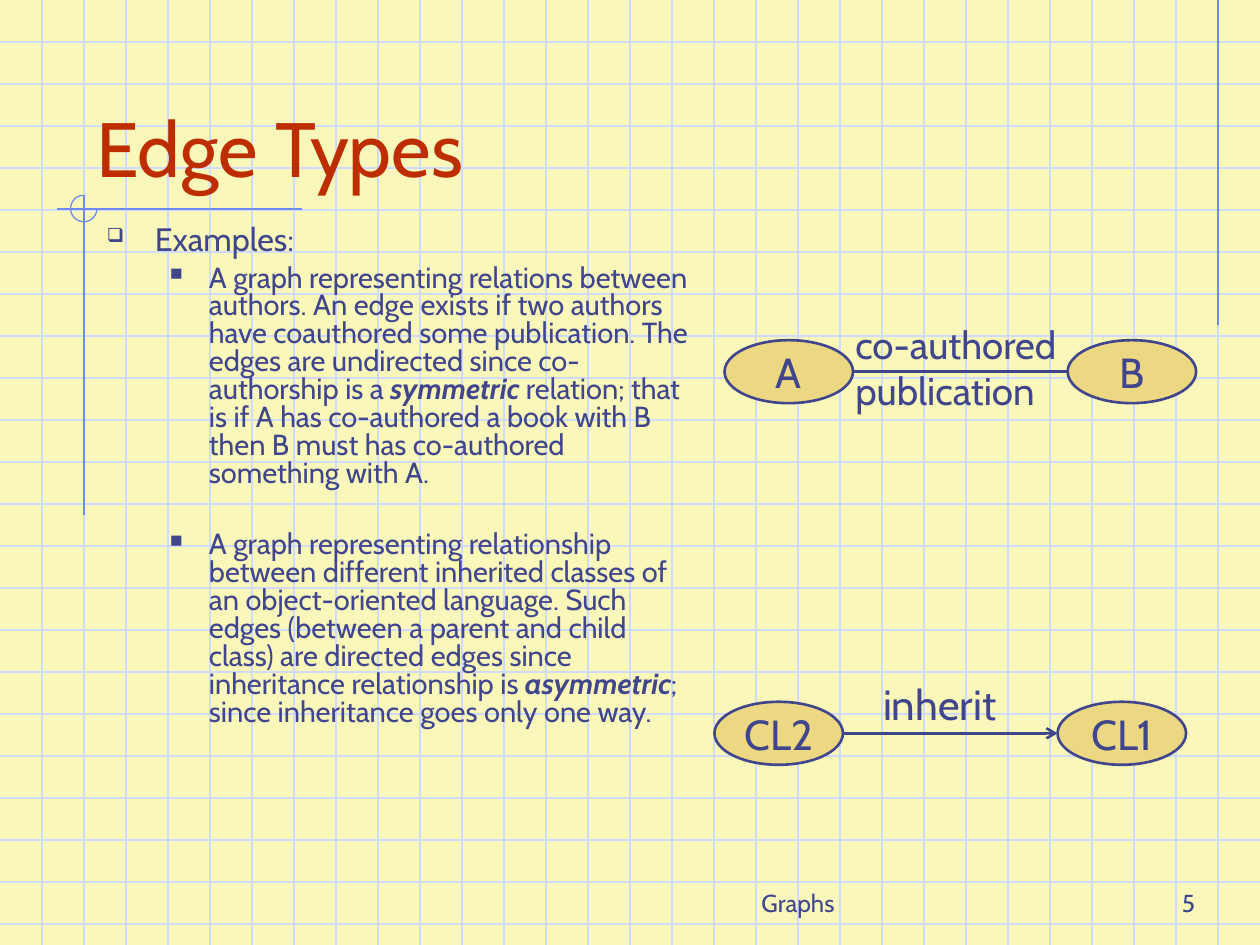
from lxml import etree
from pptx import Presentation
from pptx.dml.color import RGBColor as RGB
from pptx.enum.shapes import MSO_CONNECTOR as Conn, MSO_SHAPE as Shape
from pptx.enum.text import MSO_ANCHOR as Anchor, PP_ALIGN as Align
from pptx.oxml.ns import qn
from pptx.util import Inches, Pt

COLORS = {"paper": "F9F8BA", "grid": "CFDBFD", "accent": "6F89F7",
          "title": "BE2D00", "ink": "40458C", "node": "ECD882"}
FONT = "Cabin"
COLS, ROWS = 30, 22.5
EMPH = {"bold": True, "italic": True}

TEXTS = [
    (["Graphs"], (14.25, 20.5, 9.5, 1.5), 14, "ink", Align.CENTER, Anchor.BOTTOM),
    (["5"], (22.5, 20.5, 6.25, 1.5), 14, "ink", Align.RIGHT, Anchor.BOTTOM),
    (["Edge Types"], (2, 1, 26.5, 3.75), 44, "title", Align.LEFT, Anchor.BOTTOM),
]
BODY_BOX = (2.25, 5.25, 14.5, 16)
LEVELS = [
    {"size": 18.5, "bullet": "❑", "margin": 0.38, "hang": 0.38},
    {"size": 16.6, "bullet": "■", "margin": 0.81, "hang": 0.31},
]
BODY = [
    (0, 5, [("Examples:", {})]),
    (1, 4.5, [
        ("A graph representing relations between authors. An edge exists if two "
         "authors have coauthored some publication. The edges are undirected since "
         "co-authorship is a ", {}),
        ("symmetric", EMPH),
        (" relation; that is if A has co-authored a book with B then B must has "
         "co-authored something with A.", {})]),
    (1, 25, [
        ("A graph representing relationship between different inherited classes of "
         "an object-oriented language. Such edges (between a parent and child class) "
         "are directed edges since inheritance relationship is ", {}),
        ("asymmetric", EMPH),
        ("; since inheritance goes only one way.", {})]),
]
NODE_W, NODE_H, NODE_STEP = 3.06, 1.5, 8.17
GRAPHS = [
    {"nodes": ["CL2", "CL1"], "at": (17.01, 16.71), "arrow": True,
     "label": ["inherit"], "box": (20.73, 16, 6.5, 1.5), "size": 24, "wrap": True},
    {"nodes": ["A", "B"], "at": (17.25, 8.1), "arrow": False,
     "label": ["co-authored", "publication"], "box": (20.07, 7.5, 5.88, 2.52),
     "size": 22, "wrap": False},
]
ACCENTS = [(29, 0, 29, 7.75), (7.2, 4.98, 1.35, 4.98), (2, 4.65, 2, 12.27)]
CORNER_ARC = (1.68, 4.65, 0.63, 0.63)

prs = Presentation()
prs.slide_width, prs.slide_height = Inches(10), Inches(7.5)
CELL = prs.slide_width / COLS
slide = prs.slides.add_slide(prs.slide_layouts[6])
shapes = slide.shapes


def color(name):
    return RGB.from_string(COLORS[name])


def emu(cells):
    return [round(v * CELL) for v in cells]


def set_line(line, name, width):
    line.color.rgb = color(name)
    line.width = Pt(width)


def add_line(ends, name, width=0.75, arrow=False):
    cx = shapes.add_connector(Conn.STRAIGHT, *emu(ends))
    set_line(cx.line, name, width)
    sp_pr = cx._element.spPr
    etree.SubElement(sp_pr, qn("a:effectLst"))
    if arrow:
        ln = sp_pr.find(qn("a:ln"))
        etree.SubElement(ln, qn("a:tailEnd"), type="arrow")


def add_run(p, text, size, name, **extra):
    r = p.add_run()
    r.text = text
    r.font.color.rgb = color(name)
    for key, value in {"name": FONT, "size": Pt(size), **extra}.items():
        setattr(r.font, key, value)


def fill_text(sp, lines, size, name, align=Align.LEFT, anchor=Anchor.TOP, wrap=True):
    tf = sp.text_frame
    for key, value in {"word_wrap": wrap, "vertical_anchor": anchor}.items():
        setattr(tf, key, value)
    for i, text in enumerate(lines):
        p = tf.add_paragraph() if i else tf.paragraphs[0]
        p.alignment = align
        add_run(p, text, size, name)


def add_bullet(p, level):
    p_pr = p._p.get_or_add_pPr()
    p_pr.set("marL", str(Inches(level["margin"])))
    p_pr.set("indent", str(-Inches(level["hang"])))
    clr = etree.SubElement(p_pr, qn("a:buClr"))
    etree.SubElement(clr, qn("a:srgbClr"), val=COLORS["ink"])
    etree.SubElement(p_pr, qn("a:buSzPct"), val="60000")
    etree.SubElement(p_pr, qn("a:buChar"), char=level["bullet"])


def add_body():
    tf = shapes.add_textbox(*emu(BODY_BOX)).text_frame
    tf.word_wrap = True
    for i, (depth, gap, runs) in enumerate(BODY):
        level = LEVELS[depth]
        p = tf.add_paragraph() if i else tf.paragraphs[0]
        for key, value in {"level": depth, "line_spacing": 0.8, "space_before": Pt(gap)}.items():
            setattr(p, key, value)
        add_bullet(p, level)
        for text, style in runs:
            add_run(p, text, level["size"], "ink", **style)


def add_graph(graph):
    x, y = graph["at"]
    for i, name in enumerate(graph["nodes"]):
        sp = shapes.add_shape(Shape.OVAL, *emu((x + i * NODE_STEP, y, NODE_W, NODE_H)))
        sp.shadow.inherit = False
        sp.fill.solid()
        sp.fill.fore_color.rgb = color("node")
        set_line(sp.line, "ink", 1.5)
        fill_text(sp, [name], 24, "ink", Align.CENTER, Anchor.MIDDLE, False)
    mid = y + NODE_H / 2
    add_line((x + NODE_W, mid, x + NODE_STEP, mid), "ink", 1.5, graph["arrow"])
    label = shapes.add_textbox(*emu(graph["box"]))
    fill_text(label, graph["label"], graph["size"], "ink", wrap=graph["wrap"])


slide.background.fill.solid()
slide.background.fill.fore_color.rgb = color("paper")
for row in range(1, int(ROWS) + 1):
    add_line((0, row, COLS, row), "grid")
for col in range(1, COLS):
    add_line((col, 0, col, ROWS), "grid")
for ends in ACCENTS:
    add_line(ends, "accent")
arc = shapes.add_shape(Shape.ARC, *emu(CORNER_ARC))
arc.shadow.inherit = False
arc.fill.background()
arc.adjustments[0], arc.adjustments[1] = 0, 162
set_line(arc.line, "accent", 0.75)
for lines, box, *style in TEXTS:
    fill_text(shapes.add_textbox(*emu(box)), lines, *style)
add_body()
for graph in GRAPHS:
    add_graph(graph)
prs.save("out.pptx")
